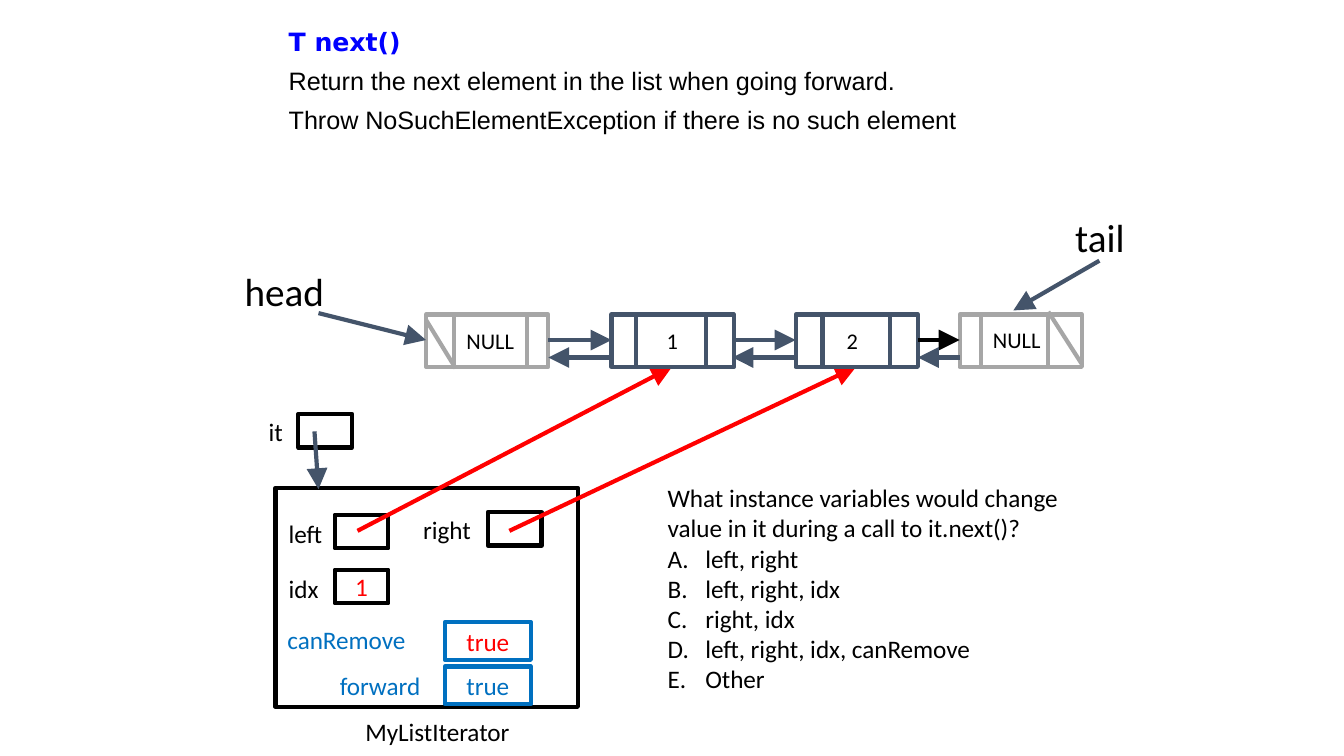
from lxml.etree import SubElement
from pptx import Presentation
from pptx.dml.color import RGBColor
from pptx.enum.shapes import MSO_CONNECTOR, MSO_SHAPE
from pptx.enum.text import MSO_ANCHOR, PP_ALIGN
from pptx.oxml.ns import qn
from pptx.util import Inches, Pt

COLORS = {
    "black": "000000",
    "slate": "44546A",
    "gray": "A6A6A6",
    "red": "FF0000",
    "blue": "0070C0",
    "code": "0000FF",
}
LINE_WIDTH = 2.25
NODE_TOP, NODE_WIDTH, NODE_HEIGHT = 2.34, 0.91, 0.39
NEXT_Y, PREVIOUS_Y = 2.53, 2.66


def color(name):
    return RGBColor.from_string(COLORS[name])


def write_text(frame, text, size=13.5, font="Calibri", ink="black", bold=False,
               align=PP_ALIGN.LEFT, before=0, lettered=False):
    """Add one paragraph, using the frame's first one while it is empty."""
    first = frame.paragraphs[0]
    para = first if not first.runs else frame.add_paragraph()
    para.alignment = align
    if before:
        para.space_before = Pt(before)
    if lettered:
        properties = para._p.get_or_add_pPr()
        properties.set("marL", str(Inches(0.28)))
        properties.set("indent", str(Inches(-0.28)))
        SubElement(properties, qn("a:buFont"), typeface="+mj-lt")
        SubElement(properties, qn("a:buAutoNum"), type="alphaUcPeriod")
    span = para.add_run()
    span.text = text
    span.font.size = Pt(size)
    span.font.name = font
    span.font.bold = bold
    span.font.color.rgb = color(ink)


def set_insets(frame, left, other):
    frame.margin_left = Inches(left)
    frame.margin_right = frame.margin_top = frame.margin_bottom = Inches(other)


def add_text_box(page, left, top, width, height, wrap=True):
    box = page.shapes.add_textbox(Inches(left), Inches(top), Inches(width), Inches(height))
    box.text_frame.word_wrap = wrap
    return box.text_frame


def add_label(page, text, left, top, width, height=0.33, **text_format):
    write_text(add_text_box(page, left, top, width, height), text, **text_format)


def add_pointer_name(page, text, left, top, width):
    frame = add_text_box(page, left, top, width, 0.31)
    set_insets(frame, 0.07, 0.07)
    write_text(frame, text, size=21)


def add_frame(page, left, top, width, height, outline="black"):
    box = page.shapes.add_shape(
        MSO_SHAPE.RECTANGLE, Inches(left), Inches(top), Inches(width), Inches(height))
    box.shadow.inherit = False
    box.fill.background()
    box.line.color.rgb = color(outline)
    box.line.width = Pt(LINE_WIDTH)
    box.text_frame.vertical_anchor = MSO_ANCHOR.MIDDLE
    return box.text_frame


def add_line(page, start, end, ink="slate", arrow=False):
    line = page.shapes.add_connector(
        MSO_CONNECTOR.STRAIGHT, *(Inches(value) for value in (*start, *end)))
    line.line.color.rgb = color(ink)
    line.line.width = Pt(LINE_WIDTH)
    if arrow:
        SubElement(line.line._get_or_add_ln(), qn("a:tailEnd"),
                   type="triangle", w="lg", len="lg")
    SubElement(line._element.spPr, qn("a:effectLst"))


def add_node(page, left, dividers, ink, text=None, indent=0.07):
    """Draw a list node with inner dividers at the given x positions."""
    frame = add_frame(page, left, NODE_TOP, NODE_WIDTH, NODE_HEIGHT, ink)
    if text:
        set_insets(frame, indent, 0.07)
        write_text(frame, text, size=12)
    for x in dividers:
        add_line(page, (x, NODE_TOP), (x, NODE_TOP + NODE_HEIGHT), ink)


def add_description(page):
    frame = add_text_box(page, 2.05, 0.15, 5.65, 0.92)
    write_text(frame, "T next()", font="DejaVu Sans", ink="code", bold=True)
    for text in ("Return the next element in the list when going forward.",
                 "Throw NoSuchElementException if there is no such element"):
        write_text(frame, text, font="Arial", before=4.5)


def add_iterator(page):
    # Object outline and the variable that refers to it
    add_frame(page, 2.05, 3.63, 2.25, 1.63)
    add_label(page, "MyListIterator", 2.62, 5.28, 1.41)
    add_label(page, "it", 1.9, 3.05, 0.44)
    add_frame(page, 2.22, 3.08, 0.4, 0.25)
    add_line(page, (2.34, 3.21), (2.37, 3.64), arrow=True)

    # Fields: name, label place, label colour, cell place, value, value colour
    fields = [
        ("left", (2.05, 3.81, 0.65), "black", (2.49, 3.83, 0.4, 0.25), None, None),
        ("right", (3.05, 3.78, 0.63), "black", (3.63, 3.81, 0.4, 0.25), None, None),
        ("idx", (2.05, 4.22, 0.49), "black", (2.49, 4.24, 0.4, 0.25), "1", "red"),
        ("canRemove", (2.04, 4.6, 1.29), "blue", (3.31, 4.63, 0.64, 0.28), "true", "red"),
        ("forward", (2.43, 4.94, 0.86), "blue", (3.31, 4.96, 0.64, 0.28), "true", "blue"),
    ]
    for name, label_place, ink, cell_place, value, value_ink in fields:
        add_label(page, name, *label_place, ink=ink)
        cell = add_frame(page, *cell_place, outline=ink)
        if value:
            write_text(cell, value, ink=value_ink, align=PP_ALIGN.CENTER)

    # References from left and right into the list
    for start_x, end_x in ((3.79, 6.37), (2.66, 5)):
        add_line(page, (start_x, 3.95), (end_x, 2.73), "red", arrow=True)


def add_list(page):
    # Nodes
    add_node(page, 3.17, (3.38, 3.92), "gray", "NULL", 0.3)
    add_node(page, 4.55, (4.73, 5.25), "slate", "1", 0.41)
    add_node(page, 5.92, (6.12, 6.62), "slate", "2", 0.38)
    add_node(page, 7.14, (7.3, 7.8), "gray")
    write_text(add_text_box(page, 7.29, 2.38, 0.56, 0.3, wrap=False), "NULL", size=12)

    # Slashes in the empty end cells
    add_line(page, (3.17, 2.38), (3.39, 2.74), "gray")
    add_line(page, (7.8, 2.32), (8.05, 2.71), "gray")

    # Links between neighbours
    for left, right, ink in ((4.08, 4.55, "slate"), (5.45, 5.92, "slate"),
                             (6.83, 7.14, "black")):
        add_line(page, (left, NEXT_Y), (right, NEXT_Y), ink, arrow=True)
        add_line(page, (right, PREVIOUS_Y), (left, PREVIOUS_Y), arrow=True)

    # Head and tail pointers
    add_pointer_name(page, "head", 1.75, 1.92, 2.72)
    add_line(page, (2.37, 2.33), (3.17, 2.53), arrow=True)
    add_pointer_name(page, "tail", 7.93, 1.52, 0.7)
    add_line(page, (8.18, 1.94), (7.54, 2.31), arrow=True)


def add_question(page):
    frame = add_text_box(page, 4.87, 3.54, 3.37, 1.69)
    write_text(frame, "What instance variables would change value in it "
                      "during a call to it.next()?")
    for answer in ("left, right", "left, right, idx", "right, idx",
                   "left, right, idx, canRemove", "Other"):
        write_text(frame, answer, lettered=True)


def main():
    # Widescreen page, 16:9
    deck = Presentation()
    deck.slide_width = Inches(10)
    deck.slide_height = Inches(10) * 9 // 16
    page = deck.slides.add_slide(deck.slide_layouts[6])
    add_description(page)
    add_iterator(page)
    add_list(page)
    add_question(page)
    deck.save("out.pptx")


if __name__ == "__main__":
    main()
